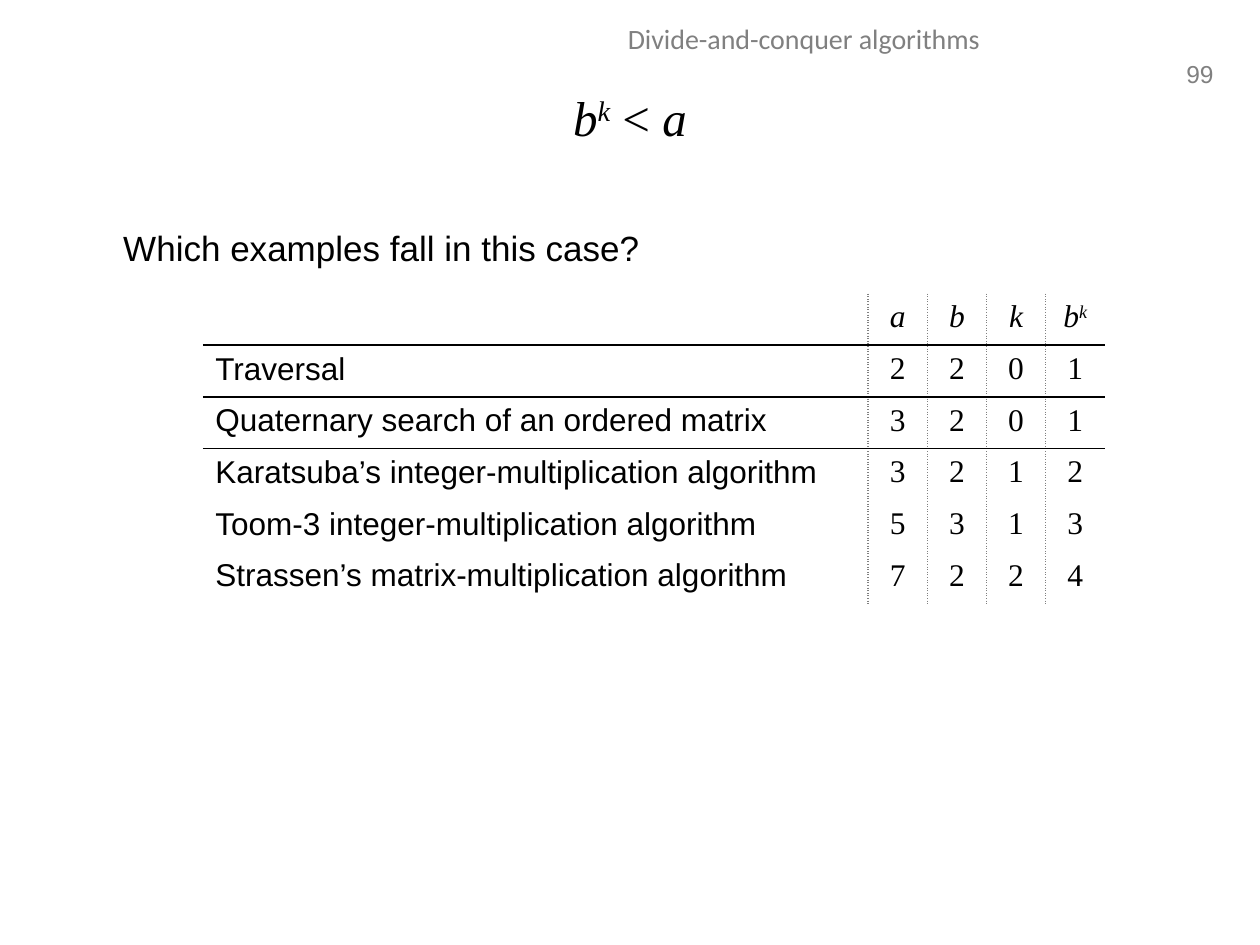
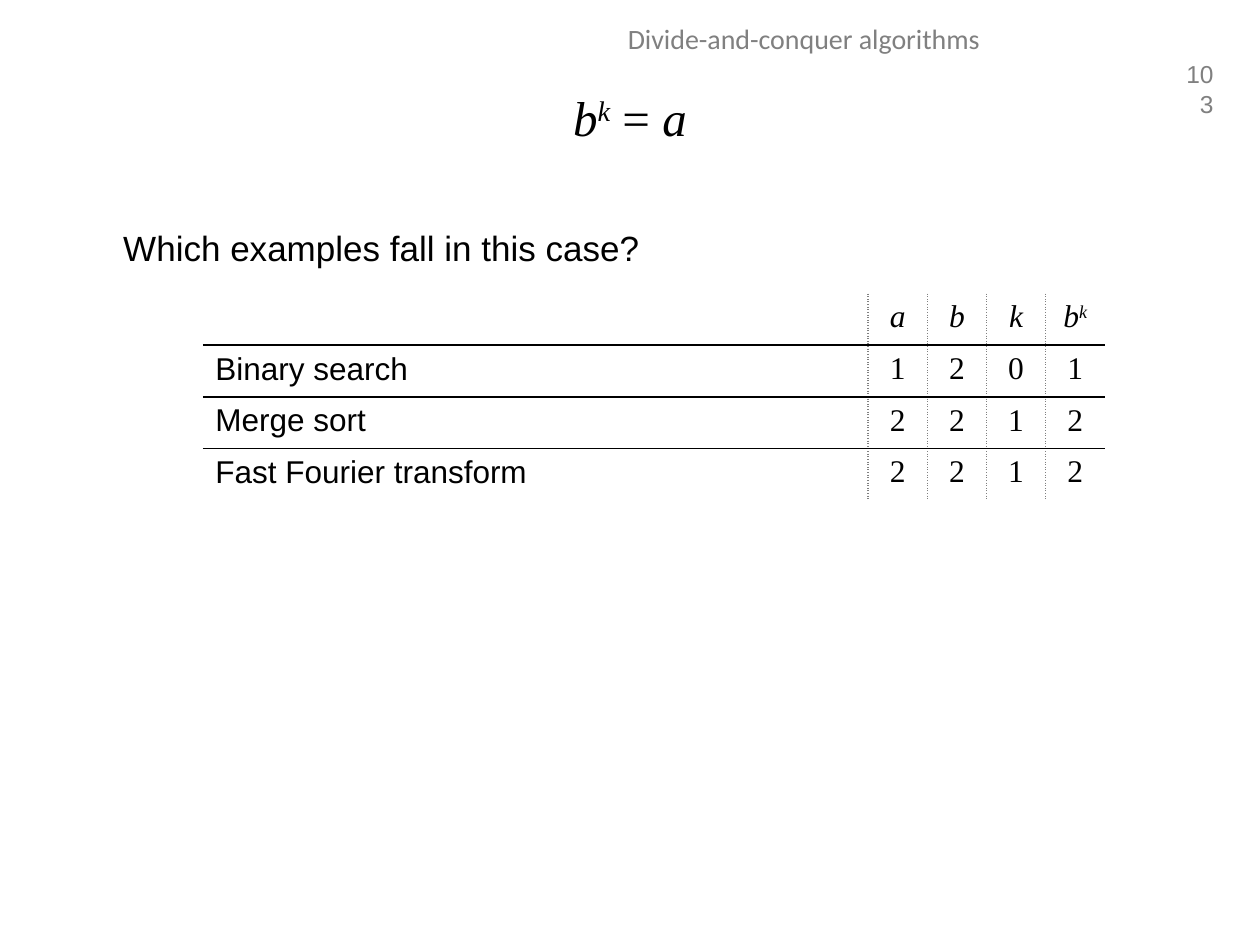
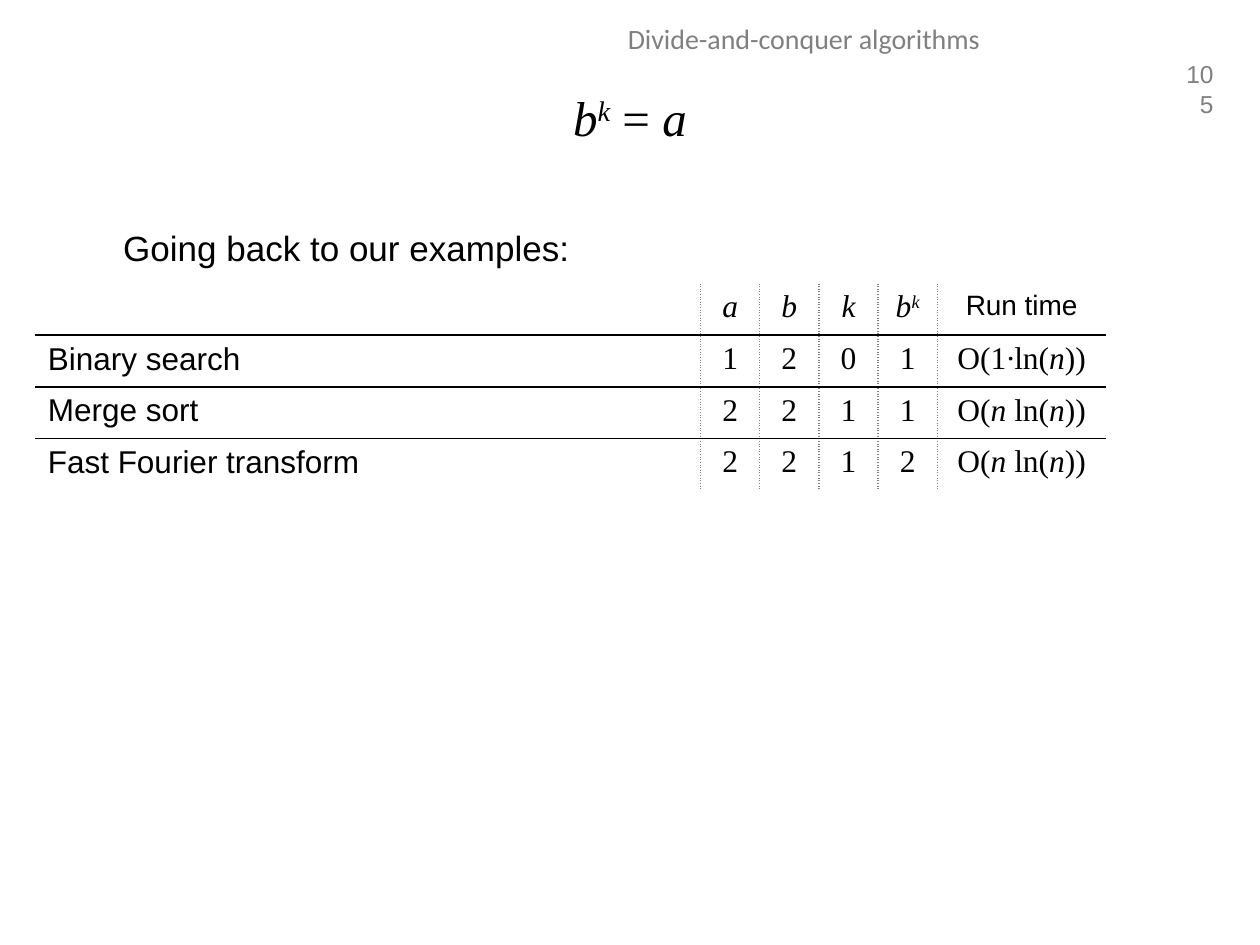
"""Build three divide-and-conquer slides with tables of algorithm parameters."""
import lxml.etree
import pptx
import pptx.dml.color
import pptx.enum.text
import pptx.oxml.ns
import pptx.util

Inches = pptx.util.Inches
ALIGN = pptx.enum.text.PP_ALIGN
ANCHOR = pptx.enum.text.MSO_ANCHOR
BLACK, GRAY = "000000", "808080"
SERIF, SANS = "Times New Roman", "Arial"
NO_STYLE_NO_GRID = "{2D5ABB26-0587-4C30-8999-92F81FD0307C}"

NUMBER = {"name": SANS, "size": pptx.util.Pt(14)}
HEADER = {"name": "Calibri", "size": pptx.util.Pt(16)}
TITLE = {"name": SERIF, "size": pptx.util.Pt(28)}
BODY = {"name": SANS, "size": pptx.util.Pt(20)}
LABEL = {"name": SANS, "size": pptx.util.Pt(18)}
VALUE = {"name": SERIF, "size": pptx.util.Pt(18)}
RUN_TIME = {"name": SANS, "size": pptx.util.Pt(16)}

NAME_WIDTH, VALUE_WIDTH, RUN_TIME_WIDTH = 5.28, 0.47, 1.34
ROW_HEIGHT = 0.41
DOTTED_AFTER_COLUMNS = (0, 1, 3, 4)
RULED_AFTER_ROWS = (0, 1)

HEADINGS = ["", "_a_", "_b_", "_k_", "_b^k^_"]
SLIDES = [
    {
        "number": "99",
        "title": "_b^k^_ < _a_",
        "body": "Which examples fall in this case?",
        "table_at": (1.61, 2.33),
        "rows": [
            HEADINGS,
            ["Traversal", "2", "2", "0", "1"],
            ["Quaternary search of an ordered matrix", "3", "2", "0", "1"],
            ["Karatsuba’s integer-multiplication algorithm", "3", "2", "1", "2"],
            ["Toom-3 integer-multiplication algorithm", "5", "3", "1", "3"],
            ["Strassen’s matrix-multiplication algorithm", "7", "2", "2", "4"],
        ],
    },
    {
        "number": "103",
        "title": "_b^k^_ = _a_",
        "body": "Which examples fall in this case?",
        "table_at": (1.61, 2.33),
        "rows": [
            HEADINGS,
            ["Binary search", "1", "2", "0", "1"],
            ["Merge sort", "2", "2", "1", "2"],
            ["Fast Fourier transform", "2", "2", "1", "2"],
        ],
    },
    {
        "number": "105",
        "title": "_b^k^_ = _a_",
        "body": "Going back to our examples:",
        "table_at": (0.28, 2.25),
        "rows": [
            HEADINGS + ["Run time"],
            ["Binary search", "1", "2", "0", "1", "O(1_·_ln(_n_))"],
            ["Merge sort", "2", "2", "1", "1", "O(_n _ln(_n_))"],
            ["Fast Fourier transform", "2", "2", "1", "2", "O(_n _ln(_n_))"],
        ],
    },
]


def color(value):
    """Turn a hex string into a colour."""
    return pptx.dml.color.RGBColor.from_string(value)


def write(para, markup, format_values, ink, align):
    """Write text in which _x_ is italic and ^x^ is superscript."""
    para.alignment = align
    for part_index, part in enumerate(markup.split("_")):
        for piece_index, piece in enumerate(part.split("^")):
            if not piece:
                continue
            span = para.add_run()
            span.text = piece
            for name, value in format_values.items():
                setattr(span.font, name, value)
            span.font.color.rgb = color(ink)
            span.font.italic = part_index % 2 == 1
            if piece_index % 2:
                span.font._element.set("baseline", "30000")


deck = pptx.Presentation()
deck.slide_width, deck.slide_height = Inches(10), Inches(7.5)

for content in SLIDES:
    page = deck.slides.add_slide(deck.slide_layouts[6])

    texts = [
        (content["number"], (9.29, 0.42, 0.44, 0.33), NUMBER, GRAY, ALIGN.RIGHT, ANCHOR.TOP, 0),
        ("Divide-and-conquer algorithms", (3.19, 0.12, 6.38, 0.4), HEADER, GRAY, ALIGN.CENTER, ANCHOR.TOP, 0),
        (content["title"], (0.5, 0.3, 9, 1.25), TITLE, BLACK, ALIGN.CENTER, ANCHOR.MIDDLE, 0),
        (content["body"], (0.5, 1.75, 9, 4.95), BODY, BLACK, ALIGN.LEFT, ANCHOR.TOP, 0.38),
    ]
    for markup, place, format_values, ink, align, anchor, indent in texts:
        box = page.shapes.add_textbox(*map(Inches, place))
        box.text_frame.word_wrap = True
        box.text_frame.vertical_anchor = anchor
        para = box.text_frame.paragraphs[0]
        write(para, markup, format_values, ink, align)
        if indent:
            para._p.get_or_add_pPr().set("marL", str(Inches(indent)))

    rows = content["rows"]
    widths = [NAME_WIDTH] + [VALUE_WIDTH] * 4 + [RUN_TIME_WIDTH] * (len(rows[0]) - 5)
    size = (sum(widths), ROW_HEIGHT * len(rows))
    frame = page.shapes.add_table(len(rows), len(widths), *map(Inches, content["table_at"] + size))
    table = frame.table
    table.first_row = table.horz_banding = False
    table._tbl.tblPr.find(pptx.oxml.ns.qn("a:tableStyleId")).text = NO_STYLE_NO_GRID
    for column, width in zip(table.columns, widths):
        column.width = Inches(width)

    for row_index, row in enumerate(rows):
        table.rows[row_index].height = Inches(ROW_HEIGHT)
        for column_index, markup in enumerate(row):
            cell = table.cell(row_index, column_index)
            format_values = LABEL if column_index == 0 else RUN_TIME if markup == "Run time" else VALUE
            align = ALIGN.CENTER if column_index else ALIGN.LEFT
            write(cell.text_frame.paragraphs[0], markup, format_values, BLACK, align)

            last_column = column_index == len(row) - 1
            borders = [
                ("lnL", column_index - 1 in DOTTED_AFTER_COLUMNS, GRAY, "sysDot"),
                ("lnR", column_index in DOTTED_AFTER_COLUMNS and not last_column, GRAY, "sysDot"),
                ("lnT", row_index - 1 in RULED_AFTER_ROWS, BLACK, "solid"),
                ("lnB", row_index in RULED_AFTER_ROWS, BLACK, "solid"),
            ]
            for side, drawn, ink, dash in borders:
                if drawn:
                    edge = lxml.etree.SubElement(
                        cell._tc.get_or_add_tcPr(), pptx.oxml.ns.qn("a:" + side), w=str(pptx.util.Pt(1)))
                    fill = lxml.etree.SubElement(edge, pptx.oxml.ns.qn("a:solidFill"))
                    lxml.etree.SubElement(fill, pptx.oxml.ns.qn("a:srgbClr"), val=ink)
                    lxml.etree.SubElement(edge, pptx.oxml.ns.qn("a:prstDash"), val=dash)
            cell.fill.background()

deck.save("out.pptx")
